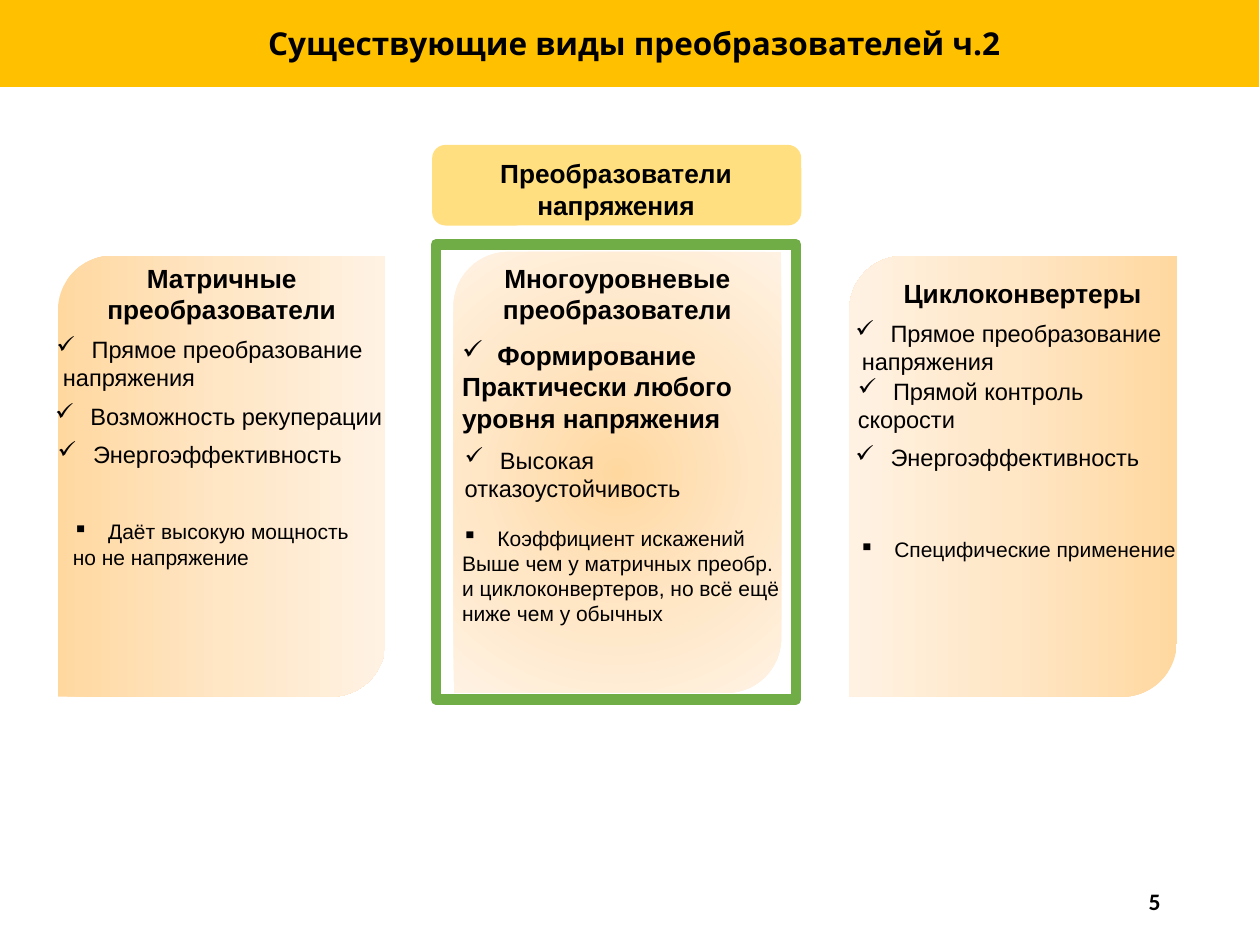
"""Build a slide comparing three kinds of voltage converters."""
import pptx
import pptx.dml.color
import pptx.enum.shapes
import pptx.enum.text
import pptx.oxml
import pptx.oxml.ns
import pptx.util
from pptx.util import Inches

COLORS = {"amber": "FFC000", "green": "70AD47", "text": "000000",
          "dark": "FFD8A0", "middle": "FFE6C5", "light": "FFF2E3"}
ALIGN = pptx.enum.text.PP_ALIGN
AUTO = pptx.enum.text.MSO_AUTO_SIZE
SHAPE = pptx.enum.shapes.MSO_SHAPE
NS = pptx.oxml.ns.nsdecls("a")

presentation = pptx.Presentation()
presentation.slide_width = Inches(10)
presentation.slide_height = Inches(7.5)
slide = presentation.slides.add_slide(presentation.slide_layouts[6])


def add_block(kind, left, top, width, height, fill=None):
    block = slide.shapes.add_shape(kind, Inches(left), Inches(top), Inches(width), Inches(height))
    block.shadow.inherit = False
    block.line.fill.background()
    if fill:
        block.fill.solid()
        block.fill.fore_color.rgb = pptx.dml.color.RGBColor.from_string(COLORS[fill])
    else:
        block.fill.background()
    return block


def add_text(left, top, width, height, lines, size, bold=False, font="Arial",
             align=ALIGN.CENTER, bullet=None):
    label = slide.shapes.add_textbox(Inches(left), Inches(top), Inches(width), Inches(height))
    frame = label.text_frame
    frame.text = "\n".join(lines)
    frame.word_wrap = False
    frame.auto_size = AUTO.SHAPE_TO_FIT_TEXT
    for paragraph in frame.paragraphs:
        paragraph.alignment = align
        style = paragraph.runs[0].font
        style.size = pptx.util.Pt(size)
        style.name = font
        style.bold = bold
        style.color.rgb = pptx.dml.color.RGBColor.from_string(COLORS["text"])
    if bullet:
        properties = frame.paragraphs[0]._p.get_or_add_pPr()
        properties.set("marL", str(Inches(0.28)))
        properties.set("indent", str(Inches(-0.28)))
        properties.append(pptx.oxml.parse_xml(f'<a:buChar {NS} char="{bullet}"/>'))
    return label


header = add_block(SHAPE.RECTANGLE, -0.01, -0.03, 10, 0.72, "amber")
header.line.color.rgb = pptx.dml.color.RGBColor.from_string(COLORS["amber"])
header.line.width = pptx.util.Pt(0.5)
add_text(2, 0.14, 6.07, 0.4, ["Существующие виды преобразователей ч.2"], 18, True, "Open Sans")

root = add_block(SHAPE.ROUNDED_RECTANGLE, 3.43, 1.15, 2.93, 0.64, "amber")
root_color = root._element.spPr.find(".//" + pptx.oxml.ns.qn("a:srgbClr"))
root_color.append(pptx.oxml.parse_xml(f'<a:alpha {NS} val="50000"/>'))
add_text(3.86, 1.2, 2.06, 0.61, ["Преобразователи", "напряжения"], 15, True)

stops = "".join(f'<a:gs pos="{position}"><a:srgbClr val="{COLORS[shade]}"/></a:gs>'
                for position, shade in ((0, "dark"), (50000, "middle"), (100000, "light")))
rightward = '<a:lin ang="0" scaled="0"/>'
leftward = '<a:lin ang="10800000" scaled="0"/>'
radial = '<a:path path="circle"><a:fillToRect l="50000" t="50000" r="50000" b="50000"/></a:path>'

direct = ["Прямое преобразование", " напряжения"]
efficiency = ["Энергоэффективность"]
converters = [
    (0.46, 2.03, rightward,
     (0.74, 2.03, 2.04, 0.61, ["Матричные", "преобразователи"]),
     [(0.35, 2.61, 2.66, 0.56, direct, 13.5),
      (0.34, 3.14, 2.83, 0.33, ["Возможность рекуперации"], 13.5),
      (0.36, 3.44, 2.49, 0.33, efficiency, 13.5)],
     (0.48, 4.07, 2.41, 0.5, ["Даёт высокую мощность", "но не напряжение"])),
    (6.74, 2.03, leftward,
     (7.06, 2.15, 2.11, 0.35, ["Циклоконвертеры"]),
     [(6.69, 2.48, 2.66, 0.56, direct, 13.5),
      (6.71, 2.94, 2.07, 0.56, ["Прямой контроль", "скорости"], 13.5),
      (6.69, 3.47, 2.49, 0.33, efficiency, 13.5)],
     (6.72, 4.21, 2.86, 0.3, ["Специфические применение"])),
    (3.6, 2, radial,
     (3.88, 2.03, 2.04, 0.61, ["Многоуровневые", "преобразователи"]),
     [(3.57, 2.64, 2.36, 0.86,
       ["Формирование", "Практически любого", "уровня напряжения"], 15, True),
      (3.59, 3.49, 1.93, 0.56, ["Высокая", "отказоустойчивость"], 13.5)],
     (3.57, 4.12, 2.74, 0.91,
      ["Коэффициент искажений", "Выше чем у матричных преобр.",
       "и циклоконвертеров, но всё ещё", "ниже чем у обычных"])),
]
for left, top, direction, heading, advantages, drawback in converters:
    card = add_block(SHAPE.ROUND_2_DIAG_RECTANGLE, left, top, 2.6, 3.5)
    no_fill = card._element.spPr.find(pptx.oxml.ns.qn("a:noFill"))
    no_fill.getparent().replace(no_fill, pptx.oxml.parse_xml(
        f'<a:gradFill {NS} rotWithShape="1"><a:gsLst>{stops}</a:gsLst>{direction}</a:gradFill>'))
    add_text(*heading, 15, True)
    for advantage in advantages:
        add_text(*advantage, align=ALIGN.JUSTIFY, bullet="✓")
    add_text(*drawback, 12, align=ALIGN.JUSTIFY, bullet="▪")

highlight = add_block(SHAPE.RECTANGLE, 3.46, 1.94, 2.86, 3.61)
highlight.line.color.rgb = pptx.dml.color.RGBColor.from_string(COLORS["green"])
highlight.line.width = pptx.util.Pt(6)
outline = highlight._element.spPr.find(pptx.oxml.ns.qn("a:ln"))
outline.append(pptx.oxml.parse_xml(f"<a:round {NS}/>"))

page_number = add_text(7.06, 6.95, 2.25, 0.4, ["5"], 13.5, True, "Calibri", ALIGN.RIGHT)
page_number.text_frame.word_wrap = True
page_number.text_frame.auto_size = AUTO.NONE
page_number.text_frame.vertical_anchor = pptx.enum.text.MSO_ANCHOR.MIDDLE

presentation.save("out.pptx")
